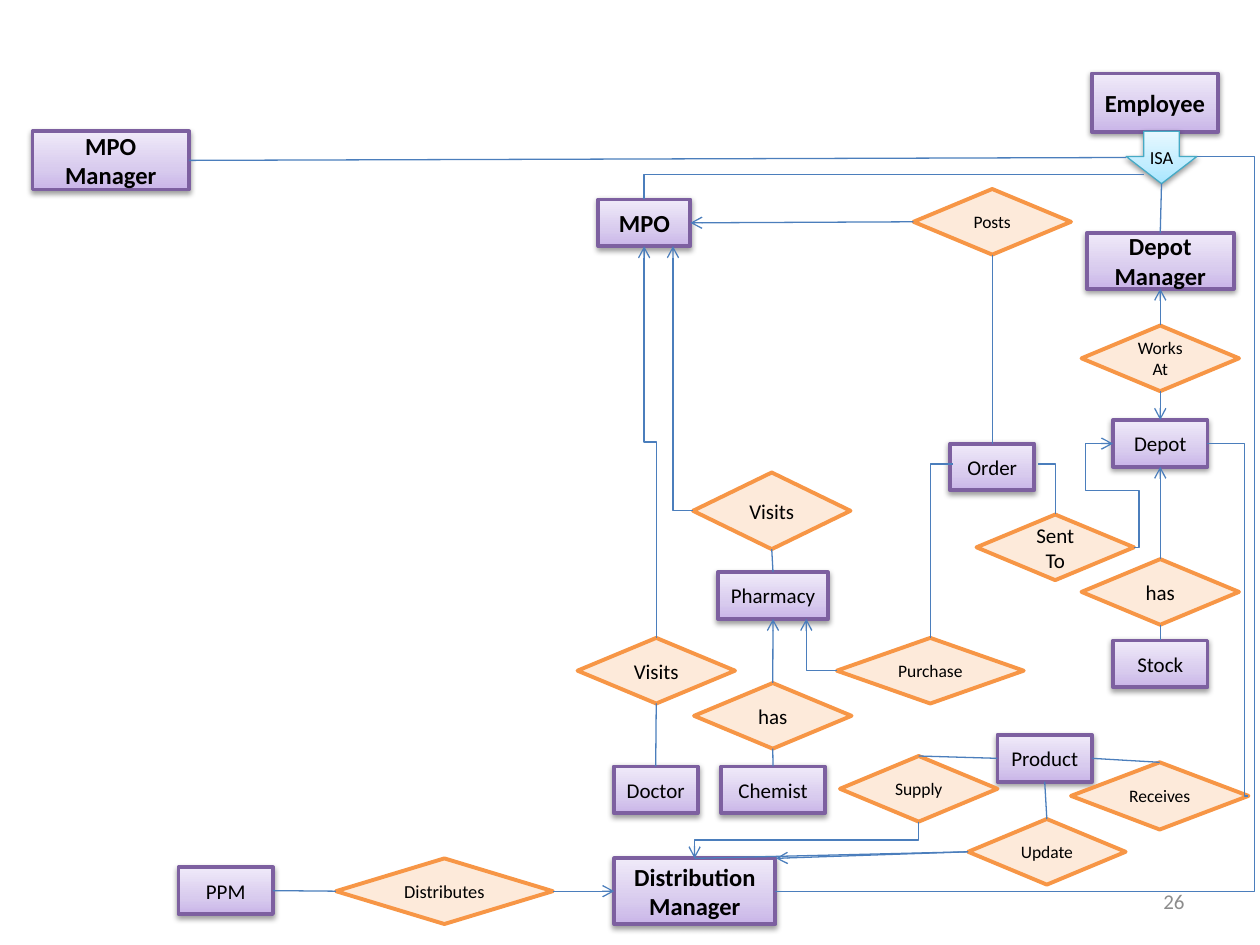
"""Build an entity-relationship diagram slide on a grid of 120 columns by 90 rows."""
import pptx
import pptx.dml.color
import pptx.enum.shapes
import pptx.enum.text
import pptx.oxml.ns
import pptx.util
from lxml import etree

MSO = pptx.enum.shapes.MSO_SHAPE
LINK = pptx.enum.shapes.MSO_CONNECTOR
ALIGN = pptx.enum.text.PP_ALIGN
MIDDLE = pptx.enum.text.MSO_ANCHOR.MIDDLE
qn = pptx.oxml.ns.qn

prs = pptx.Presentation()
prs.slide_width = pptx.util.Inches(10)
prs.slide_height = pptx.util.Inches(7.5)
s = prs.slides.add_slide(prs.slide_layouts[6])
U = prs.slide_width // 120
TOP, LEFT, BOTTOM, RIGHT = range(4)


def rgb(value):
    return pptx.dml.color.RGBColor.from_string(value)


def connect(kind, x1, y1, x2, y2, arrow):
    c = s.shapes.add_connector(kind, *[round(v * U) for v in (x1, y1, x2, y2)])
    c.line.color.rgb = rgb("4B7EBC")
    c.line.width = pptx.util.Pt(0.75)
    if arrow:
        etree.SubElement(c.line._get_or_add_ln(), qn("a:tailEnd"), type="arrow")
    etree.SubElement(c._element.spPr, qn("a:effectLst"))
    return c


LILAC = ("C9B5E8", "D8CBEE", "F0EAF9")
SKY = ("A7E6FF", "C1EDFF", "E7F8FF")
styles = {
    "entity": (MSO.RECTANGLE, LILAC, "7D60A0", 2.25),
    "isa": (MSO.DOWN_ARROW, SKY, "46AAC5", 0.75),
    "relation": (MSO.FLOWCHART_DECISION, None, "F79646", 2.25),
}
nodes = [
    ("employee", "entity", "Employee", 14, 104, 7, 12, 5.55),
    ("isa", "isa", "ISA", 10.5, 107.25, 12.5, 6.75, 5),
    ("mpo", "entity", "MPO", 14, 57, 19, 8.75, 4.45),
    ("mpo manager", "entity", "MPO Manager", 14, 3.1, 12.5, 14.9, 5.55),
    ("depot manager", "entity", "Depot Manager", 14, 103.5, 22.2, 14, 5.3),
    ("update", "relation", "Update", 10, 92.2, 78, 15, 6.25),
    ("product", "entity", "Product", 12, 95, 70, 9, 4.45),
    ("supply", "relation", "Supply", 10, 80, 72, 15, 6.25),
    ("distribution", "entity", "Distribution Manager", 14, 58.5, 81.75, 15.35, 6.25),
    ("depot", "entity", "Depot", 12, 106, 40, 9, 4.45),
    ("receives", "relation", "Receives", 10, 102, 72.6, 16.9, 6.4),
    ("distributes", "relation", "Distributes", 10.5, 32, 81.75, 20.65, 6.25),
    ("ppm", "entity", "PPM", 12, 17, 82.6, 9, 4.45),
    ("has stock", "relation", "has", 12, 103, 53.25, 15, 6.25),
    ("stock", "entity", "Stock", 12, 106, 61, 9, 4.45),
    ("works at", "relation", "Works At", 10, 103, 31, 15, 6.25),
    ("posts", "relation", "Posts", 10, 87, 18, 15, 6.25),
    ("order", "entity", "Order", 12, 90.5, 42.25, 8, 4.45),
    ("sent to", "relation", "Sent To", 12, 93, 49, 15, 6.25),
    ("visits pharmacy", "relation", "Visits", 12, 66, 45, 15, 7.3),
    ("pharmacy", "entity", "Pharmacy", 12, 68.4, 54.5, 10.45, 4.45),
    ("visits doctor", "relation", "Visits", 12, 55, 60.75, 15, 6.25),
    ("doctor", "entity", "Doctor", 12, 58.45, 73, 8, 4.45),
    ("has chemist", "relation", "has", 12, 66.1, 65.05, 15, 6.25),
    ("chemist", "entity", "Chemist", 12, 68.7, 73, 9.85, 4.45),
    ("purchase", "relation", "Purchase", 10, 79.7, 60.75, 17.8, 6.25),
]
shapes = {}
for key, style, text, size, *box in nodes:
    preset, stops, edge, weight = styles[style]
    sp = shapes[key] = s.shapes.add_shape(preset, *[round(v * U) for v in box])
    sp.line.color.rgb = rgb(edge)
    sp.line.width = pptx.util.Pt(weight)
    sp.shadow.inherit = False
    if stops:
        sp.fill.gradient()
        sp.fill.gradient_angle = 90
        gs_list = sp._element.spPr.find(".//" + qn("a:gsLst"))
        gs_list.clear()
        for pos, color in zip((0, 35000, 100000), stops):
            gs = etree.SubElement(gs_list, qn("a:gs"), pos=str(pos))
            etree.SubElement(gs, qn("a:srgbClr"), val=color)
        shadow = etree.SubElement(
            sp._element.spPr.find(qn("a:effectLst")), qn("a:outerShdw"),
            blurRad="40000", dist="20000", dir="5400000", rotWithShape="0")
        black = etree.SubElement(shadow, qn("a:srgbClr"), val="000000")
        etree.SubElement(black, qn("a:alpha"), val="38000")
    else:
        sp.fill.solid()
        sp.fill.fore_color.rgb = rgb("FDEADA")
    tf = sp.text_frame
    tf.word_wrap = style != "isa"
    tf.vertical_anchor = MIDDLE
    p = tf.paragraphs[0]
    p.text = text
    p.alignment = ALIGN.CENTER
    p.font.name = "Calibri"
    p.font.size = pptx.util.Pt(size)
    p.font.bold = size == 14
    p.font.color.rgb = rgb("000000")

isa = shapes["isa"]
isa.adjustments[1] = 0.519
isa.text_frame.margin_top = round(1.2 * U)
isa.text_frame.margin_bottom = 0

straight = [
    ("isa", LEFT, "mpo manager", RIGHT, False),
    ("isa", BOTTOM, "depot manager", TOP, False),
    ("distribution", TOP, "update", LEFT, False),
    ("product", BOTTOM, "update", TOP, False),
    ("supply", TOP, "product", LEFT, False),
    ("receives", TOP, "product", RIGHT, False),
    ("distributes", LEFT, "ppm", RIGHT, False),
    ("distributes", RIGHT, "distribution", LEFT, True),
    ("has stock", BOTTOM, "stock", TOP, False),
    ("has stock", TOP, "depot", BOTTOM, True),
    ("works at", TOP, "depot manager", BOTTOM, True),
    ("works at", BOTTOM, "depot", TOP, True),
    ("posts", BOTTOM, "order", TOP, False),
    ("posts", LEFT, "mpo", RIGHT, True),
    ("visits pharmacy", BOTTOM, "pharmacy", TOP, False),
    ("visits doctor", BOTTOM, "doctor", TOP, False),
    ("has chemist", BOTTOM, "chemist", TOP, False),
    ("has chemist", TOP, "pharmacy", BOTTOM, True),
]
for start, start_side, end, end_side, arrow in straight:
    c = connect(LINK.STRAIGHT, 0, 0, 0, 0, arrow)
    c.begin_connect(shapes[start], start_side)
    c.end_connect(shapes[end], end_side)
c = connect(LINK.STRAIGHT, 92.2, 81.12, 73.9, 81.75, True)
c.begin_connect(shapes["update"], LEFT)

bent = [
    (61.35, 19, 109, 16.6, True, 2, [], False),
    (114, 14.9, 73.85, 84.88, False, 3, [-0.137], False),
    (115, 42.25, 118.9, 75.8, False, 3, [0.898], False),
    (87.5, 78.25, 66.15, 81.75, True, 3, [0.5], True),
    (98.9, 44.2, 100.5, 49, False, 2, [], False),
    (108, 52.12, 106, 42.25, False, 5, [-0.246, 0.546, 2.321], True),
    (66, 48.65, 64.1, 23.45, False, 2, [], True),
    (62.5, 60.75, 61.35, 23.45, True, 3, [0.5], True),
    (88.6, 60.75, 90.8, 44.2, True, 2, [], False),
    (79.7, 63.88, 76.8, 58.95, False, 2, [], True),
]
for x1, y1, x2, y2, vertical_first, parts, bends, arrow in bent:
    if vertical_first:
        cx, cy, dx, dy = (x1 + x2) / 2, (y1 + y2) / 2, (x2 - x1) / 2, (y2 - y1) / 2
        x1, y1, x2, y2 = cx - dy, cy + dx, cx + dy, cy - dx
    c = connect(LINK.ELBOW, x1, y1, x2, y2, arrow)
    if vertical_first:
        c._element.spPr.find(qn("a:xfrm")).set("rot", "5400000")
    geom = c._element.spPr.find(qn("a:prstGeom"))
    geom.set("prst", f"bentConnector{parts}")
    for i, bend in enumerate(bends, 1):
        etree.SubElement(geom.find(qn("a:avLst")), qn("a:gd"),
                         name=f"adj{i}", fmla=f"val {round(bend * 100000)}")

tb = s.shapes.add_textbox(*[round(v * U) for v in (86, 83.4, 28, 4.8)])
tf = tb.text_frame
tf.word_wrap = True
tf.vertical_anchor = MIDDLE
p = tf.paragraphs[0]
p.text = "26"
p.alignment = ALIGN.RIGHT
p.font.name = "Calibri"
p.font.size = pptx.util.Pt(12)
p.font.color.rgb = rgb("8C8C8C")

prs.save("out.pptx")
